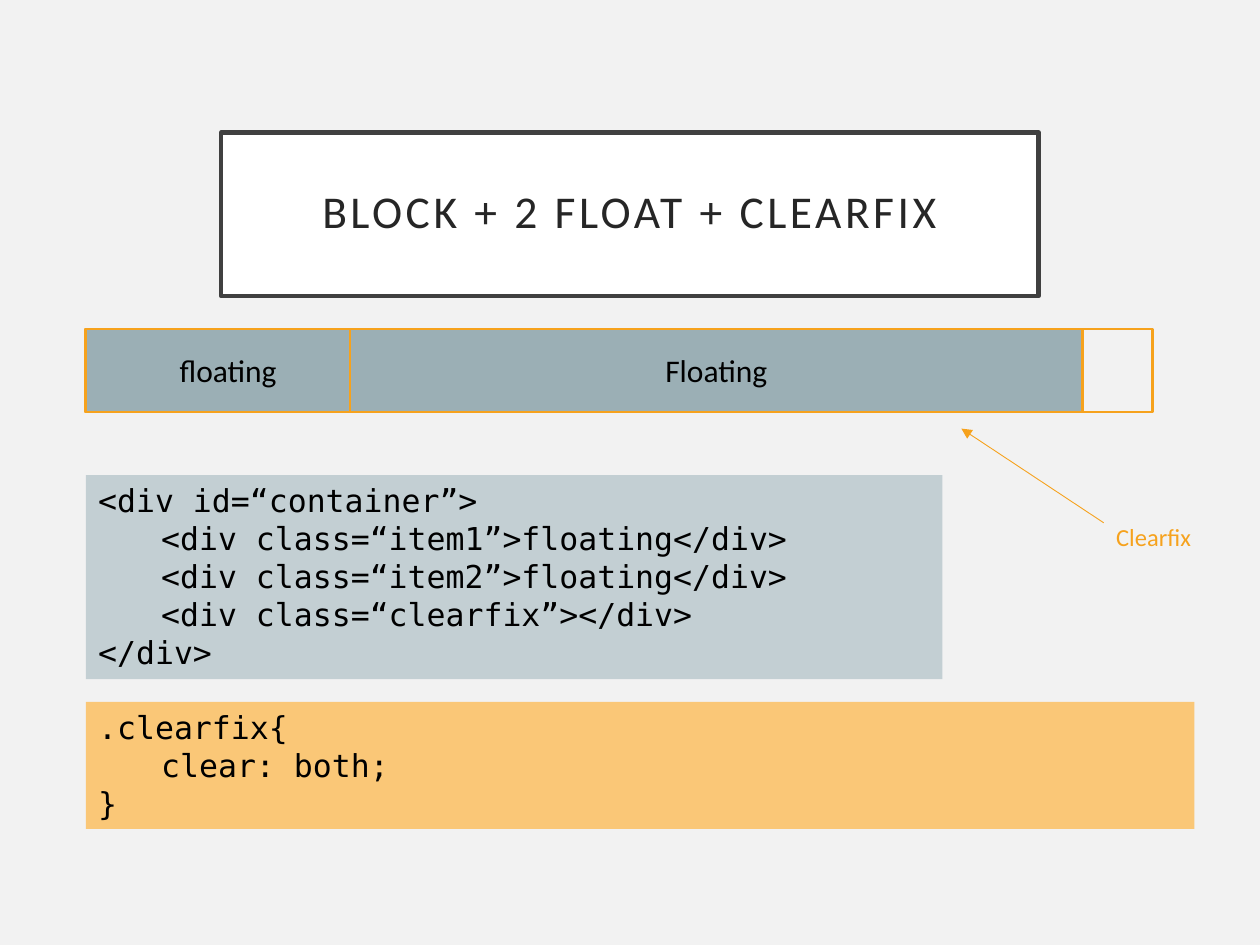
from lxml.etree import SubElement
from pptx import Presentation
from pptx.dml.color import RGBColor
from pptx.enum.shapes import MSO_CONNECTOR, MSO_SHAPE
from pptx.enum.text import MSO_ANCHOR, PP_ALIGN
from pptx.oxml.ns import qn
from pptx.util import Cm, Pt

BACKGROUND = RGBColor(0xF2, 0xF2, 0xF2)
WHITE = RGBColor(0xFF, 0xFF, 0xFF)
BLACK = RGBColor(0x00, 0x00, 0x00)
TITLE_TEXT = RGBColor(0x26, 0x26, 0x26)
TITLE_LINE = RGBColor(0x40, 0x40, 0x40)
ORANGE = RGBColor(0xF6, 0xA2, 0x1D)
PALE_ORANGE = RGBColor(0xFA, 0xC7, 0x77)
GREY_BLUE = RGBColor(0x9B, 0xAF, 0xB5)
PALE_BLUE = RGBColor(0xC3, 0xCF, 0xD3)

SANS, MONO = "Calibri", "DejaVu Sans Mono"
LEFT = 1.73
BAR_TOP, BAR_HEIGHT, CONTAINER_WIDTH = 6.63, 1.68, 21.51
CODE_INDENT = Cm(1.27)

TITLE = "BLOCK + 2 FLOAT + CLEARFIX"
# label, item width, inset of the label from the item's left edge
FLOATS = [("floating", 5.33, 0.41), ("Floating", 14.76, 0)]
# top, width, height, fill, lines as (indent level, code)
CODE_BLOCKS = [
    (9.58, 17.27, 4.11, PALE_BLUE, [
        (0, "<div id=“container”>"),
        (1, "<div class=“item1”>floating</div>"),
        (1, "<div class=“item2”>floating</div>"),
        (1, "<div class=“clearfix”></div>"),
        (0, "</div>"),
    ]),
    (14.15, 22.35, 2.56, PALE_ORANGE, [
        (0, ".clearfix{"),
        (1, "clear: both;"),
        (0, "}"),
    ]),
]


def add_box(slide, left, top, width, height, fill=None, line=None, line_width=1.5):
    shape = slide.shapes.add_shape(
        MSO_SHAPE.RECTANGLE, Cm(left), Cm(top), Cm(width), Cm(height))
    shape.shadow.inherit = False
    if fill is None:
        shape.fill.background()
    else:
        shape.fill.solid()
        shape.fill.fore_color.rgb = fill
    if line is None:
        shape.line.fill.background()
    else:
        shape.line.color.rgb = line
        shape.line.width = Pt(line_width)
    return shape


def write(shape, lines, font=SANS, size=18, color=BLACK, align=PP_ALIGN.LEFT,
          anchor=MSO_ANCHOR.TOP, line_spacing=None, tracking=None):
    """Fill a shape with (indent level, text) lines in one format."""
    frame = shape.text_frame
    frame.word_wrap = True
    frame.vertical_anchor = anchor
    for number, (level, text) in enumerate(lines):
        paragraph = frame.add_paragraph() if number else frame.paragraphs[0]
        paragraph.alignment = align
        if line_spacing:
            paragraph.line_spacing = line_spacing
        if level:
            paragraph._p.get_or_add_pPr().set("marL", str(level * CODE_INDENT))
        run = paragraph.add_run()
        run.text = text
        run.font.name = font
        run.font.size = Pt(size)
        run.font.color.rgb = color
        if tracking:
            run.font._element.set("spc", str(tracking * 100))


def add_label(slide, left, top, width, height, text, **text_format):
    label = slide.shapes.add_textbox(Cm(left), Cm(top), Cm(width), Cm(height))
    write(label, [(0, text)], **text_format)


def add_arrow(slide, start, end):
    arrow = slide.shapes.add_connector(
        MSO_CONNECTOR.STRAIGHT, *(Cm(value) for value in start + end))
    arrow.line.color.rgb = ORANGE
    arrow.line.width = Pt(0.5)
    SubElement(arrow.line._get_or_add_ln(), qn("a:tailEnd"), type="triangle")
    SubElement(arrow._element.spPr, qn("a:effectLst"))


def main():
    presentation = Presentation()
    presentation.slide_width, presentation.slide_height = Cm(25.4), Cm(19.05)
    slide = presentation.slides.add_slide(presentation.slide_layouts[6])
    slide.background.fill.solid()
    slide.background.fill.fore_color.rgb = BACKGROUND

    title = add_box(slide, 4.46, 2.67, 16.48, 3.3, WHITE, TITLE_LINE, 2.5)
    write(title, [(0, TITLE)], size=26, color=TITLE_TEXT, align=PP_ALIGN.CENTER,
          anchor=MSO_ANCHOR.MIDDLE, line_spacing=0.9, tracking=2)

    left = LEFT
    for text, width, inset in FLOATS:
        add_box(slide, left, BAR_TOP, width, BAR_HEIGHT, GREY_BLUE, ORANGE)
        add_label(slide, left + inset, BAR_TOP + 0.33, width - inset, 1.03, text,
                  align=PP_ALIGN.CENTER)
        left += width
    add_box(slide, LEFT, BAR_TOP, CONTAINER_WIDTH, BAR_HEIGHT, line=ORANGE)

    add_arrow(slide, (22.25, 10.54), (19.38, 8.64))
    add_label(slide, 22.25, 10.39, 2.74, 0.86, "Clearfix", size=14, color=ORANGE)

    for top, width, height, fill, lines in CODE_BLOCKS:
        write(add_box(slide, LEFT, top, width, height, fill), lines, font=MONO)

    presentation.save("out.pptx")


if __name__ == "__main__":
    main()
